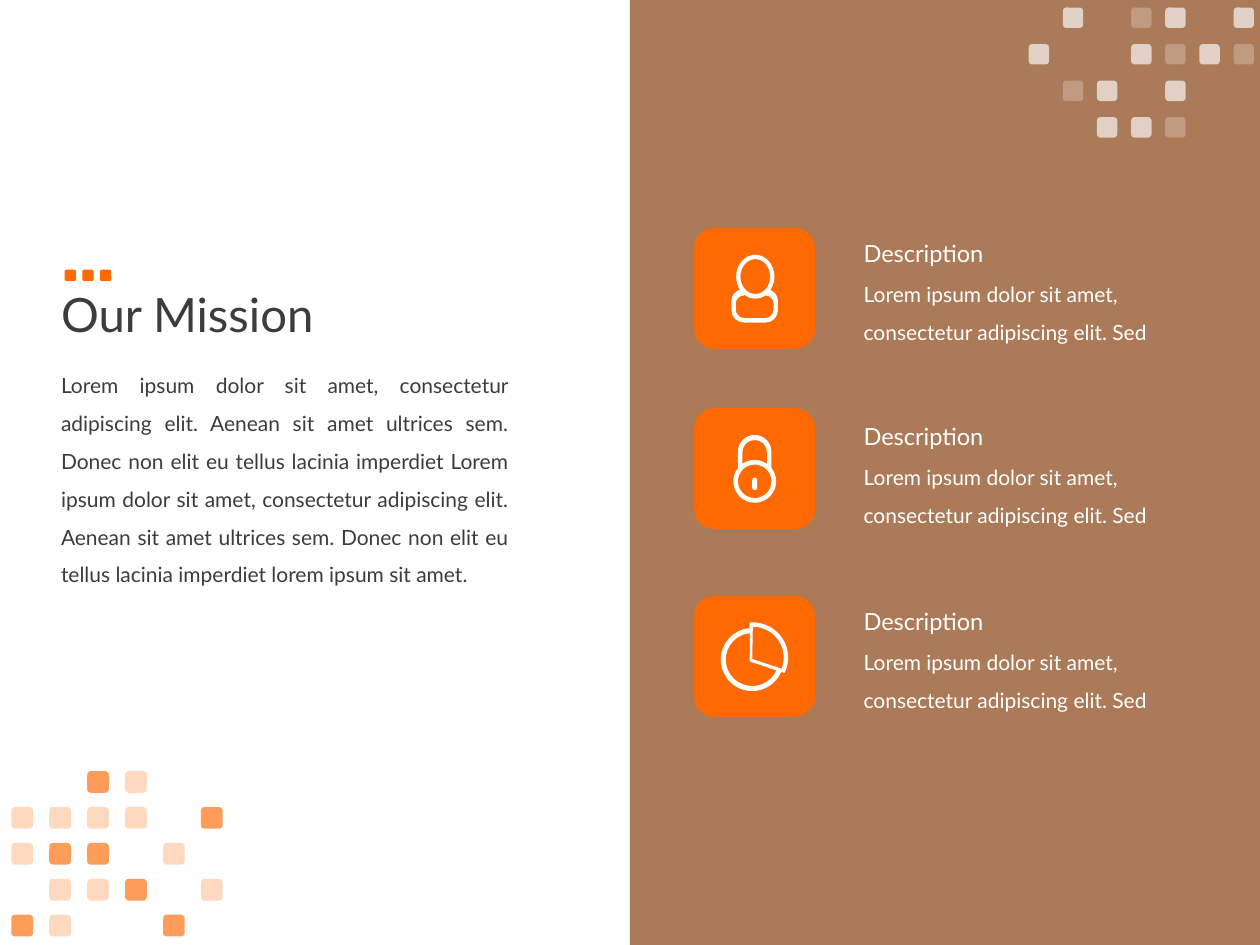
import math

from lxml import etree
from pptx import Presentation
from pptx import util as u
from pptx.dml import color
from pptx.enum import shapes, text
from pptx.oxml import ns

ORANGE, BROWN, WHITE, INK = "FE6902", "7F3401", "FFFFFF", "3C3C3C"
FONT = "Lato"
SHARE = u.Inches(10) // 100  # one hundredth of the slide width
OPACITY = {"#": 65, "+": 25}
LOREM = "Lorem ipsum dolor sit amet, consectetur adipiscing elit. "
MISSION = (LOREM + "Aenean sit amet ultrices sem. Donec non elit eu tellus lacinia imperdiet "
           + LOREM + "Aenean sit amet ultrices sem. Donec non elit eu tellus lacinia imperdiet "
           "lorem ipsum sit amet.").replace("imperdiet Lorem", "imperdiet Lorem")


def rgb(value):
    return color.RGBColor.from_string(value)


def emu(*lengths):
    return [round(length * SHARE) for length in lengths]


def paint(shape, fill, opacity=100):
    shape.shadow.inherit = False
    shape.fill.solid()
    shape.fill.fore_color.rgb = rgb(fill)
    shape.line.fill.background()
    if opacity < 100:
        tint = shape.fill._xPr.find(".//" + ns.qn("a:srgbClr"))
        etree.SubElement(tint, ns.qn("a:alpha"), val=str(opacity * 1000))


def add_block(holder, box, fill, opacity=100, kind=shapes.MSO_SHAPE.ROUNDED_RECTANGLE):
    block = holder.shapes.add_shape(kind, *emu(*box))
    paint(block, fill, opacity)


def add_text(page, box, words, size, ink, spacing=1.0, align=text.PP_ALIGN.LEFT,
             anchor=text.MSO_ANCHOR.TOP):
    frame = page.shapes.add_textbox(*emu(*box)).text_frame
    frame.word_wrap = True
    frame.vertical_anchor = anchor
    para = frame.paragraphs[0]
    para.text = words
    para.alignment = align
    para.line_spacing = spacing
    para.font.name = FONT
    para.font.size = u.Pt(size)
    para.font.color.rgb = rgb(ink)


def add_mosaic(page, left, top, step_x, step_y, side, fill, rows):
    """Draw squares where rows hold a mark; the mark sets the opacity."""
    group = page.shapes.add_group_shape()
    for row, marks in enumerate(rows):
        for column, mark in enumerate(marks):
            if mark in OPACITY:
                box = (left + column * step_x, top + row * step_y, side, side)
                add_block(group, box, fill, OPACITY[mark])


def arc(x, y, across, down, start, end):
    """Cubic curves (four points each) along an ellipse, split at its quarters.

    Angles are in degrees, clockwise from the right.
    """
    low, high = sorted((start, end))
    quarters = [angle for angle in range(-360, 361, 90) if low < angle < high]
    stops = sorted([start, *quarters, end], reverse=end < start)
    curves = []
    for first, last in zip(stops, stops[1:]):
        a, b = math.radians(first), math.radians(last)
        pull = 4 / 3 * math.tan((b - a) / 4)
        unit = ((math.cos(a), math.sin(a)),
                (math.cos(a) - pull * math.sin(a), math.sin(a) + pull * math.cos(a)),
                (math.cos(b) + pull * math.sin(b), math.sin(b) - pull * math.cos(b)),
                (math.cos(b), math.sin(b)))
        curves.append([(x + across * i, y + down * j) for i, j in unit])
    return curves


def ring(x, y, across, down):
    return arc(x, y, across, down, 0, 360)


def corner(x, y):
    return [[(x, y)] * 4]


# Each icon is a list of contours, in hundredths of an inch from its tile's corner.
def person_icon():
    outer = (arc(48.5, 38.5, 15.2, 17.3, 40, -220) + arc(39, 58, 9.5, 9.5, 255, 180)
             + arc(39.5, 65, 10, 10, 180, 90) + arc(56.5, 65, 10, 10, 90, 0)
             + arc(57, 58, 9.5, 9.5, 0, -75))
    torso = (arc(39.5, 60, 6.5, 6.5, 270, 180) + arc(40, 64.5, 7, 7, 180, 90)
             + arc(56, 64.5, 7, 7, 90, 0) + arc(56.5, 60, 6.5, 6.5, 0, -90)
             + arc(48.5, 38.5, 15.5, 17.5, 55, 125))
    return [outer, ring(48.5, 38.5, 11.8, 13.8), torso]


def lock_icon():
    outer = arc(48, 34.5, 13.3, 13.3, 180, 360) + arc(48, 58, 17, 17, -38.5, 218.5)
    shackle = arc(48, 35, 9.8, 9.8, 180, 360) + arc(48, 58, 17, 17, -54.8, -125.2)
    keyhole = arc(48, 57, 2, 2, 180, 360) + arc(48, 63, 2, 2, 0, 180)
    return [outer, shackle, ring(48, 58, 13.3, 13.3), keyhole]


def pie_icon():
    outer = corner(44, 21) + arc(46.5, 49, 28, 28, -90, 26) + arc(46, 50.5, 25, 25, 23, 265)
    rest = corner(44, 52) + arc(46, 50.5, 21, 21, 24, 265)
    wedge = corner(46, 50) + arc(46.5, 49, 24.5, 24.5, 21, -90)
    return [outer, rest, wedge]


def bend(shape):
    """Turn each run of three straight segments into one cubic curve."""
    lines = list(shape._element.iter(ns.qn("a:lnTo")))
    for first, second, third in zip(lines[::3], lines[1::3], lines[2::3]):
        curve = etree.Element(ns.qn("a:cubicBezTo"))
        first.addprevious(curve)
        for line in (first, second, third):
            curve.append(line[0])
            line.getparent().remove(line)


def add_icon(page, left, top, contours):
    def place(point):
        return emu(left + point[0] / 10, top + point[1] / 10)

    builder = None
    for contour in contours:
        start = place(contour[0][0])
        if builder is None:
            builder = page.shapes.build_freeform(*start, scale=1.0)
        else:
            builder.move_to(*start)
        pen = contour[0][0]
        points = []
        for curve in contour:
            if math.dist(pen, curve[0]) > 0.01:
                points += [curve[0]] * 3
            points += curve[1:]
            pen = curve[-1]
        builder.add_line_segments(map(place, points), close=True)
    icon = builder.convert_to_shape()
    bend(icon)
    paint(icon, WHITE)


def add_mission(page, left, top):
    add_text(page, (left, top, 86.2, 16.7), "Our Mission", 27, INK, 0.9,
             anchor=text.MSO_ANCHOR.MIDDLE)
    add_text(page, (left, top + 11.3, 37.5, 18.8), MISSION, 12, INK, 1.5,
             text.PP_ALIGN.JUSTIFY)
    dots = page.shapes.add_group_shape()
    for number in range(3):
        add_block(dots, (left + 1.27 + number * 1.4, top + 4.6, 0.9, 0.9), ORANGE)


def add_feature(page, left, top, text_top, contours):
    add_block(page, (left, top, 9.6, 9.6), ORANGE)
    add_icon(page, left, top, contours)
    add_text(page, (left + 12.46, text_top + 2.36, 29.8, 6.7), LOREM + "Sed", 12, WHITE, 1.5)
    add_text(page, (left + 12.46, text_top, 17.6, 3.3), "Description", 13.5, WHITE)


def main():
    deck = Presentation()
    deck.slide_width, deck.slide_height = emu(100, 75)
    page = deck.slides.add_slide(deck.slide_layouts[6])

    add_block(page, (50, 0, 50, 75), BROWN, 65, shapes.MSO_SHAPE.RECTANGLE)
    add_mission(page, 3.86, 16.8)
    for top, text_top, icon in ((18.1, 18.5, person_icon), (32.4, 33, lock_icon),
                                (47.3, 47.7, pie_icon)):
        add_feature(page, 55.1, top, text_top, icon())
    add_mosaic(page, 81.64, 0.6, 2.71, 2.9, 1.62, WHITE,
               (".#.+#.#", "#..#+#+", ".+#.#..", "..##+.."))
    add_mosaic(page, 0.9, 61.2, 3.01, 2.85, 1.72, ORANGE,
               ("..#+..", "++++.#", "+##.+.", ".++#.+", "#+..#."))
    deck.save("out.pptx")


if __name__ == "__main__":
    main()
